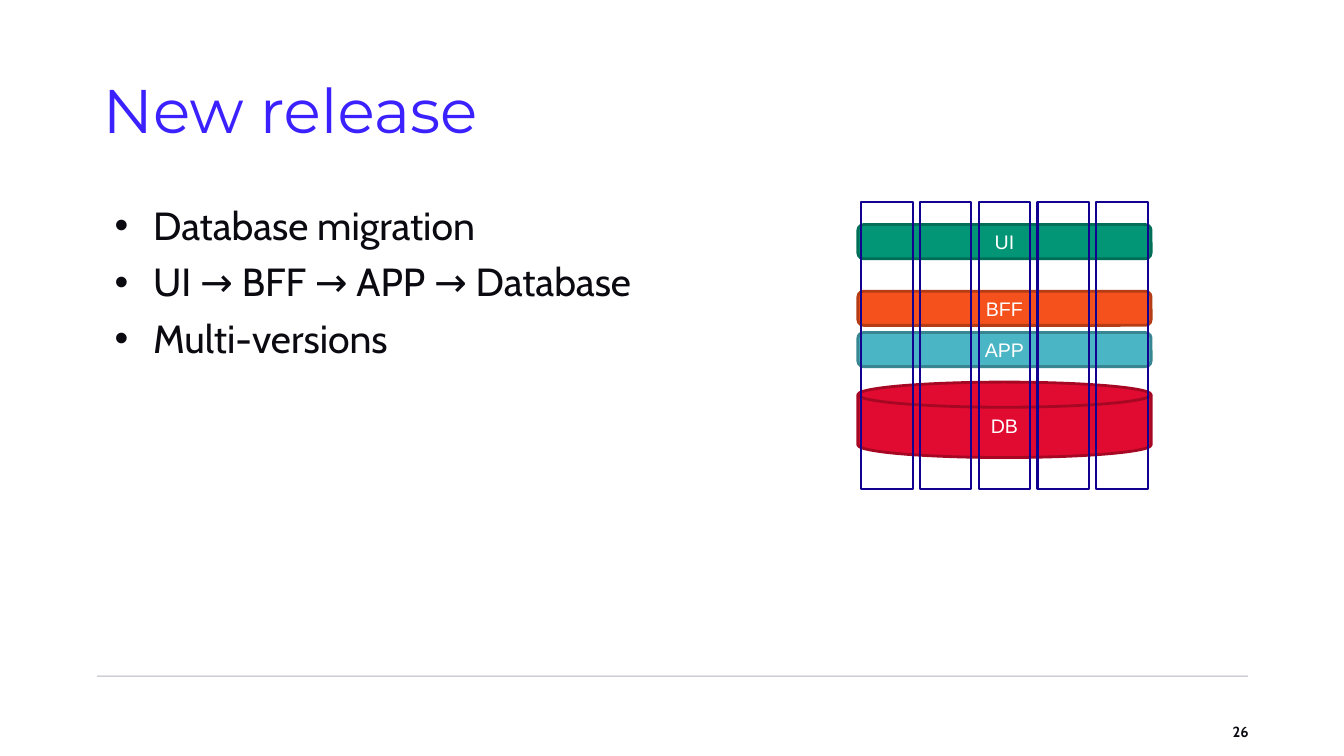
from lxml.etree import SubElement
from pptx import Presentation
from pptx.dml.color import RGBColor
from pptx.enum.shapes import MSO_CONNECTOR, MSO_SHAPE
from pptx.enum.text import MSO_ANCHOR, MSO_AUTO_SIZE, PP_ALIGN
from pptx.oxml.ns import qn
from pptx.util import Cm, Pt

VIOLET = RGBColor(0x3C, 0x21, 0xFF)
INK = RGBColor(0x0C, 0x0A, 0x11)
GREY = RGBColor(0x40, 0x43, 0x4F)
NAVY = RGBColor(0x12, 0x00, 0x90)
WHITE = RGBColor(0xFF, 0xFF, 0xFF)
GREEN, DARK_GREEN = RGBColor(0x02, 0x96, 0x76), RGBColor(0x01, 0x6F, 0x57)
ORANGE, DARK_ORANGE = RGBColor(0xF4, 0x51, 0x1C), RGBColor(0xB5, 0x3C, 0x15)
TEAL, DARK_TEAL = RGBColor(0x4A, 0xB5, 0xC4), RGBColor(0x37, 0x86, 0x91)
RED, DARK_RED = RGBColor(0xE1, 0x0B, 0x31), RGBColor(0xA6, 0x08, 0x24)

TITLE_FONT = {"name": "Montserrat", "size": Pt(44), "color": VIOLET}
BODY_FONT = {"name": "Cabin", "size": Pt(28), "color": INK}
NUMBER_FONT = {"name": "Cabin", "size": Pt(10.5), "color": INK, "bold": True}
LABEL_FONT = {"name": "Arial", "size": Pt(14), "color": WHITE}
BULLETS = ["Database migration", "UI → BFF → APP → Database", "Multi-versions"]
LAYERS = [
    ("UI", MSO_SHAPE.ROUNDED_RECTANGLE, 0.58, 0.86, GREEN, DARK_GREEN),
    ("BFF", MSO_SHAPE.ROUNDED_RECTANGLE, 2.26, 0.86, ORANGE, DARK_ORANGE),
    ("APP", MSO_SHAPE.ROUNDED_RECTANGLE, 3.3, 0.86, TEAL, DARK_TEAL),
    ("DB", MSO_SHAPE.FLOWCHART_MAGNETIC_DISK, 4.55, 1.9, RED, DARK_RED),
]


def set_format(target, values):
    """Set every attribute in values, colours through their rgb."""
    for name, value in values.items():
        if name == "color":
            target.color.rgb = value
        else:
            setattr(target, name, value)


def write(para, text, font, **layout):
    """Put one formatted span of text into a paragraph."""
    set_format(para, layout)
    span = para.add_run()
    span.text = text
    set_format(span.font, font)


def add_title(page, left, top, width, height):
    """Move and fill the title placeholder."""
    title = page.shapes.title
    set_format(title, {"left": Cm(left), "top": Cm(top),
                       "width": Cm(width), "height": Cm(height)})
    set_format(title.text_frame, {"vertical_anchor": MSO_ANCHOR.MIDDLE,
                                  "auto_size": MSO_AUTO_SIZE.NONE})
    write(title.text_frame.paragraphs[0], "New release", TITLE_FONT,
          alignment=PP_ALIGN.LEFT, line_spacing=0.9)


def add_bullets(page, left, top, width, height):
    """Write the bulleted list."""
    box = page.shapes.add_textbox(Cm(left), Cm(top), Cm(width), Cm(height))
    frame = box.text_frame
    frame.word_wrap = True
    for index, text in enumerate(BULLETS):
        para = frame.add_paragraph() if index else frame.paragraphs[0]
        write(para, text, BODY_FONT, line_spacing=0.9,
              space_before=Pt(10 if index else 0))
        properties = para._p.get_or_add_pPr()
        properties.set("marL", str(Cm(1.27)))
        properties.set("indent", str(Cm(-0.97)))
        SubElement(properties, qn("a:buFont"), typeface="Arial")
        SubElement(properties, qn("a:buChar"), char="•")


def add_stack(page, left, top, width, height):
    """Draw the four layers and the five version columns across them."""
    for label, kind, offset, depth, fill, edge in LAYERS:
        layer = page.shapes.add_shape(kind, Cm(left), Cm(top + offset),
                                      Cm(width), Cm(depth))
        layer.shadow.inherit = False
        layer.fill.solid()
        layer.fill.fore_color.rgb = fill
        set_format(layer.line, {"color": edge, "width": Pt(2)})
        layer.text_frame.vertical_anchor = MSO_ANCHOR.MIDDLE
        write(layer.text_frame.paragraphs[0], label, LABEL_FONT,
              alignment=PP_ALIGN.CENTER)
    inset, column_width, count = 0.08, 1.3, 5
    pitch = (width - 2 * inset - column_width) / (count - 1)
    for index in range(count):
        column = page.shapes.add_shape(
            MSO_SHAPE.RECTANGLE, Cm(left + inset + index * pitch), Cm(top),
            Cm(column_width), Cm(height))
        column.shadow.inherit = False
        column.fill.background()
        set_format(column.line, {"color": NAVY, "width": Pt(1.5)})


def add_footer(page, left, top, right, bottom):
    """Draw the footer rule and the page number under its right end."""
    rule = page.shapes.add_connector(MSO_CONNECTOR.STRAIGHT, Cm(left), Cm(top),
                                     Cm(right), Cm(top))
    set_format(rule.line, {"color": GREY, "width": Pt(0.75)})
    properties = rule._element.spPr
    colour = next(properties.iter(qn("a:srgbClr")))
    SubElement(colour, qn("a:alpha"), val="40000")
    SubElement(properties, qn("a:effectLst"))
    width, height = 7.62, 1.02
    box = page.shapes.add_textbox(Cm(right + 0.1 - width), Cm(bottom - height),
                                  Cm(width), Cm(height))
    set_format(box.text_frame, {
        "word_wrap": True, "vertical_anchor": MSO_ANCHOR.BOTTOM,
        "margin_left": 0, "margin_top": 0,
        "margin_right": 0, "margin_bottom": 0})
    write(box.text_frame.paragraphs[0], "26 ", NUMBER_FONT,
          alignment=PP_ALIGN.RIGHT)


def main():
    """Build the slide and save the deck."""
    deck = Presentation()
    set_format(deck, {"slide_width": Cm(33.87), "slide_height": Cm(19.05)})
    page = deck.slides.add_slide(deck.slide_layouts[5])
    add_footer(page, 2.44, 17.04, 31.45, 18.67)
    add_title(page, 2.34, 1.02, 29.21, 3.68)
    add_bullets(page, 2.34, 5.08, 17.63, 12.09)
    add_stack(page, 21.62, 5.08, 7.39, 7.24)
    deck.save("out.pptx")


if __name__ == "__main__":
    main()
